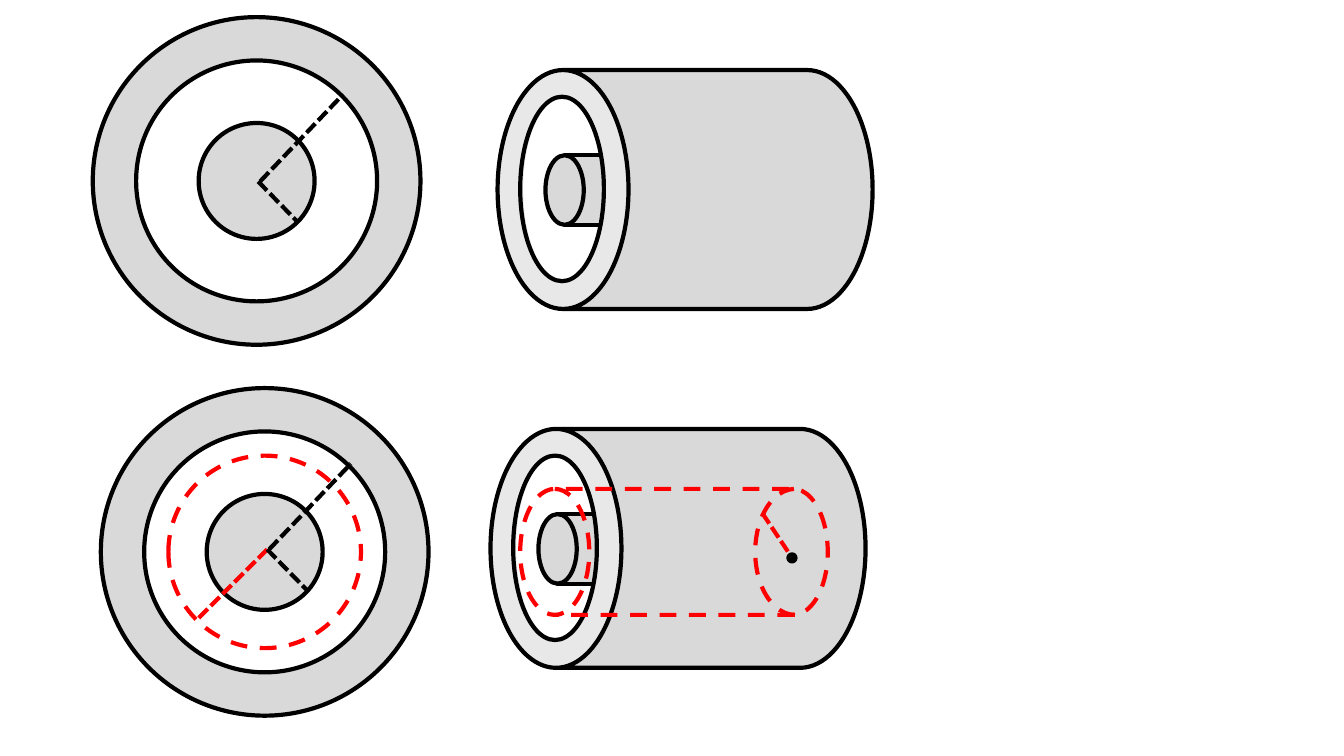
from lxml.etree import SubElement
from pptx import Presentation
from pptx.dml.color import RGBColor
from pptx.enum.dml import MSO_LINE
from pptx.enum.shapes import MSO_CONNECTOR, MSO_SHAPE
from pptx.oxml.ns import qn
from pptx.util import Pt

PX = 9144
BLACK, WHITE, GRAY, RED = "000000", "FFFFFF", "D9D9D9", "FF0000"
DASH, DOT = MSO_LINE.DASH, MSO_LINE.SQUARE_DOT
OVAL = MSO_SHAPE.OVAL
OUTER = 325


def paint(target, color):
    target.solid()
    target.fore_color.rgb = RGBColor.from_string(color)


class Pen:
    """Draws outlined shapes and lines into the current group of a slide."""

    def __init__(self, slide, width=3):
        self.slide = slide
        self.width = width
        self.group()

    def group(self):
        self.shapes = self.slide.shapes.add_group_shape().shapes

    def stroke(self, line, color, dash):
        paint(line.fill, color)
        line.width = Pt(self.width)
        if dash:
            line.dash_style = dash

    def shape(self, kind, x, y, w, h, fill=None, color=BLACK, dash=None,
              turn=0, adjust=()):
        item = self.shapes.add_shape(kind, x * PX, y * PX, w * PX, h * PX)
        item.shadow.inherit = False
        item.rotation = turn
        for i, value in enumerate(adjust):
            item.adjustments[i] = value
        if fill:
            paint(item.fill, fill)
        else:
            item.fill.background()
        self.stroke(item.line, color, dash)

    def line(self, x1, y1, x2, y2, color=BLACK, dash=None):
        item = self.shapes.add_connector(
            MSO_CONNECTOR.STRAIGHT, x1 * PX, y1 * PX, x2 * PX, y2 * PX)
        self.stroke(item.line, color, dash)
        SubElement(item._element.spPr, qn("a:effectLst"))

    def ring(self, x, y, size, fill=None, **style):
        inset = (OUTER - size) // 2
        self.shape(OVAL, x + inset, y + inset, size, size, fill, **style)

    def can(self, x, y, w, h, fill=None, **style):
        self.shape(MSO_SHAPE.CAN, x, y, w, h, fill, turn=270,
                   adjust=[0.548], **style)


def section(pen, x, y):
    for size, fill in ((OUTER, GRAY), (239, WHITE), (115, GRAY)):
        pen.ring(x, y, size, fill)


def tube(pen, x, y):
    pen.can(x + 45, y - 94, 237, 372, GRAY)
    pen.shape(OVAL, x + 5, y + 4, 75, 175, WHITE, WHITE)
    pen.shape(MSO_SHAPE.RECTANGLE, x + 44, y + 58, 35, 69, GRAY)
    pen.shape(OVAL, x + 25, y + 58, 38, 69, GRAY)
    pen.line(x + 79, y + 60, x + 79, y + 125, GRAY)
    pen.shape(OVAL, x, y, 83, 183)


def radii(pen, x, y):
    pen.line(x, y, x + 39, y + 40, dash=DOT)
    pen.line(x + 2, y, x + 83, y - 85, dash=DOT)


def main():
    deck = Presentation()
    deck.slide_width, deck.slide_height = 1333 * PX, 750 * PX
    pen = Pen(deck.slides.add_slide(deck.slide_layouts[6]))

    section(pen, 92, 17)
    tube(pen, 516, 96)
    radii(pen, 256, 180)

    pen.group()
    section(pen, 100, 385)
    pen.ring(100, 385, 191, color=RED, dash=DASH)
    pen.line(265, 545, 195, 615, RED, DOT)
    tube(pen, 509, 452)
    pen.can(606, 395, 125, 305, color=RED, dash=DASH)
    pen.line(756, 509, 786, 554, RED, DOT)
    pen.shape(MSO_SHAPE.ARC, 749, 485, 79, 125, color=RED, dash=DASH,
              turn=180, adjust=[162, 53.42])
    pen.shape(OVAL, 782, 550, 7, 7, BLACK)
    radii(pen, 265, 545)

    deck.save("out.pptx")


if __name__ == "__main__":
    main()
